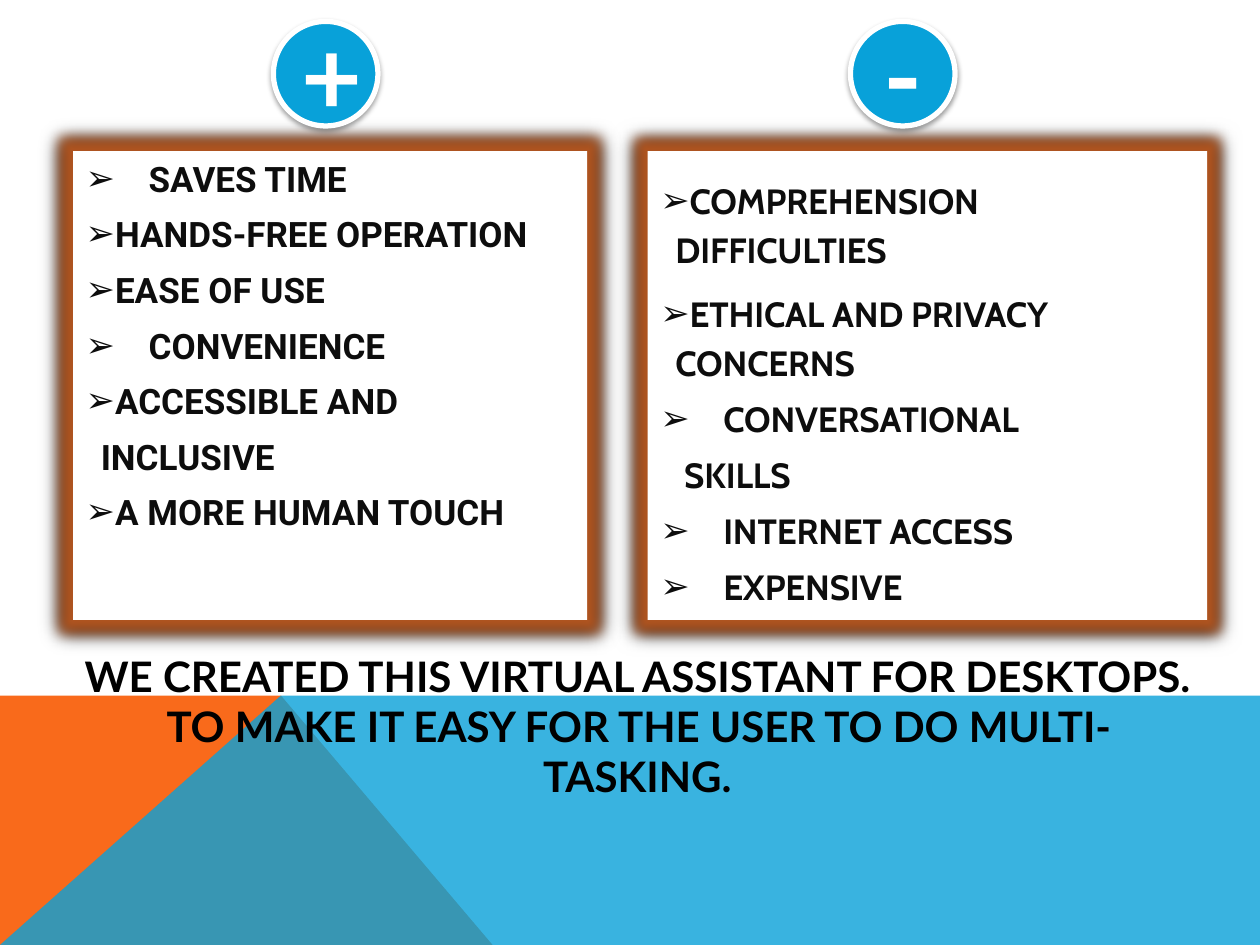
from lxml.etree import SubElement
from pptx import Presentation
from pptx.dml.color import RGBColor
from pptx.enum.shapes import MSO_SHAPE
from pptx.enum.text import MSO_ANCHOR, MSO_AUTO_SIZE, PP_ALIGN
from pptx.oxml.ns import qn
from pptx.util import Inches, Pt

WHITE = RGBColor(0xFF, 0xFF, 0xFF)
BLACK = RGBColor(0x00, 0x00, 0x00)
INK = RGBColor(0x0D, 0x0D, 0x0D)
ORANGE = RGBColor(0xF9, 0x6A, 0x1B)
BLUE = RGBColor(0x08, 0xA1, 0xD9)
GLOW = RGBColor(0xAE, 0x54, 0x20)

LOOSE = dict(left=0.5, indent=-0.5, before=8, bullet=True)
TIGHT = dict(left=0.12, indent=-0.12, bullet=True)
PROS = [
    ("SAVES TIME", LOOSE),
    ("HANDS-FREE OPERATION", dict(TIGHT, spacing=31.7)),
    ("EASE OF USE", dict(TIGHT, spacing=31.7)),
    ("CONVENIENCE", LOOSE),
    ("ACCESSIBLE AND INCLUSIVE", dict(TIGHT, spacing=31.7)),
    ("A MORE HUMAN TOUCH", dict(TIGHT, spacing=31.7)),
]
CONS = [
    ("COMPREHENSION", dict(TIGHT, spacing=36.7)),
    ("DIFFICULTIES", dict(left=0.12, spacing=27.8)),
    ("ETHICAL AND PRIVACY", dict(TIGHT, spacing=36.7)),
    ("CONCERNS", dict(left=0.12, spacing=27.8)),
    ("CONVERSATIONAL", LOOSE),
    ("SKILLS", dict(left=0.19, before=8)),
    ("INTERNET ACCESS", LOOSE),
    ("EXPENSIVE", LOOSE),
]


def add_color(parent, color, alpha):
    clr = SubElement(parent, qn("a:srgbClr"), val=str(color))
    SubElement(clr, qn("a:alpha"), val=str(alpha * 1000))


def add_effects(sp, blur, dist, alpha, glow=None):
    sp.shadow.inherit = False
    effects = sp.element.spPr.find(qn("a:effectLst"))
    if glow:
        add_color(SubElement(effects, qn("a:glow"), rad=str(Pt(glow))), GLOW, 100)
    shadow = SubElement(effects, qn("a:outerShdw"), blurRad=str(Pt(blur)),
                        dist=str(Pt(dist)), dir="5400000", rotWithShape="0")
    add_color(shadow, BLACK, alpha)


def add_run(p, text, font, size, color):
    r = p.add_run()
    r.text = text
    r.font.name = font
    r.font.size = Pt(size)
    r.font.bold = True
    r.font.color.rgb = color
    return r


def format_paragraph(p, left, indent=0, before=0, spacing=None, bullet=False):
    p.space_before = Pt(before)
    p.line_spacing = Pt(spacing) if spacing else 1.0
    pPr = p._p.get_or_add_pPr()
    pPr.set("marL", str(Inches(left)))
    pPr.set("indent", str(Inches(indent)))
    if bullet:
        SubElement(pPr, qn("a:buChar"), char="➢")
    else:
        SubElement(pPr, qn("a:buNone"))


def fill_card(sp, x, y, w, h, items, font, tracking=0):
    sp.left, sp.top, sp.width, sp.height = (Inches(v) for v in (x, y, w, h))
    sp.fill.solid()
    sp.fill.fore_color.rgb = WHITE
    add_effects(sp, blur=8.5, dist=1, alpha=100, glow=14)
    tf = sp.text_frame
    tf.word_wrap = True
    tf.auto_size = MSO_AUTO_SIZE.NONE
    tf.vertical_anchor = MSO_ANCHOR.TOP
    for i, (text, style) in enumerate(items):
        p = tf.add_paragraph() if i else tf.paragraphs[0]
        format_paragraph(p, **style)
        r = add_run(p, text, font, 20, INK)
        if tracking:
            r.font._element.set("spc", str(int(tracking * 100)))


def add_badge(slide, x, y, size, sign):
    sp = slide.shapes.add_shape(MSO_SHAPE.OVAL, Inches(x), Inches(y), Inches(size), Inches(size))
    sp.fill.solid()
    sp.fill.fore_color.rgb = BLUE
    sp.line.color.rgb = WHITE
    sp.line.width = Pt(3)
    add_effects(sp, blur=3.1, dist=1.6, alpha=38)
    tf = sp.text_frame
    tf.vertical_anchor = MSO_ANCHOR.MIDDLE
    p = tf.paragraphs[0]
    p.alignment = PP_ALIGN.CENTER
    add_run(p, sign, "Lato", 60, WHITE)


def add_polygon(slide, points, color, alpha=100):
    start, *rest = [(Inches(x), Inches(y)) for x, y in points]
    builder = slide.shapes.build_freeform(*start)
    builder.add_line_segments(rest, close=True)
    sp = builder.convert_to_shape()
    sp.fill.solid()
    sp.fill.fore_color.rgb = color
    sp.line.fill.background()
    sp.shadow.inherit = False
    if alpha < 100:
        clr = sp.element.spPr.find(qn("a:solidFill"))[0]
        SubElement(clr, qn("a:alpha"), val=str(alpha * 1000))


def add_footer_band(slide, x, y, w, h):
    peak, foot = x + 2.23, x + 3.91
    right, bottom = x + w, y + h
    add_polygon(slide, [(x, bottom), (x, y), (peak, y), (foot, bottom)], ORANGE)
    add_polygon(slide, [(x, bottom), (peak, y), (right, y), (right, bottom)], BLUE, 80)


def add_summary(slide, x, y, w, h, text):
    sp = slide.shapes.add_textbox(Inches(x), Inches(y), Inches(w), Inches(h))
    tf = sp.text_frame
    tf.word_wrap = True
    p = tf.paragraphs[0]
    p.alignment = PP_ALIGN.CENTER
    add_run(p, text, "Lato", 24, BLACK)


def main():
    prs = Presentation()
    prs.slide_width, prs.slide_height = Inches(10), Inches(7.5)
    slide = prs.slides.add_slide(prs.slide_layouts[3])
    title, pros, cons = slide.placeholders
    title.element.getparent().remove(title.element)

    add_footer_band(slide, 0, 5.52, 10, 1.98)
    fill_card(pros, 0.58, 1.2, 4.08, 3.72, PROS, "Roboto")
    fill_card(cons, 5.14, 1.2, 4.44, 3.72, CONS, "Cabin", tracking=-0.1)
    add_badge(slide, 2.17, 0.17, 0.83, "+")
    add_badge(slide, 6.75, 0.17, 0.83, "-")
    add_summary(slide, 0.56, 5.11, 9, 0.91,
                "WE CREATED THIS VIRTUAL ASSISTANT FOR DESKTOPS. "
                "TO MAKE IT EASY FOR THE USER TO DO MULTI-TASKING.")
    prs.save("out.pptx")


if __name__ == "__main__":
    main()
